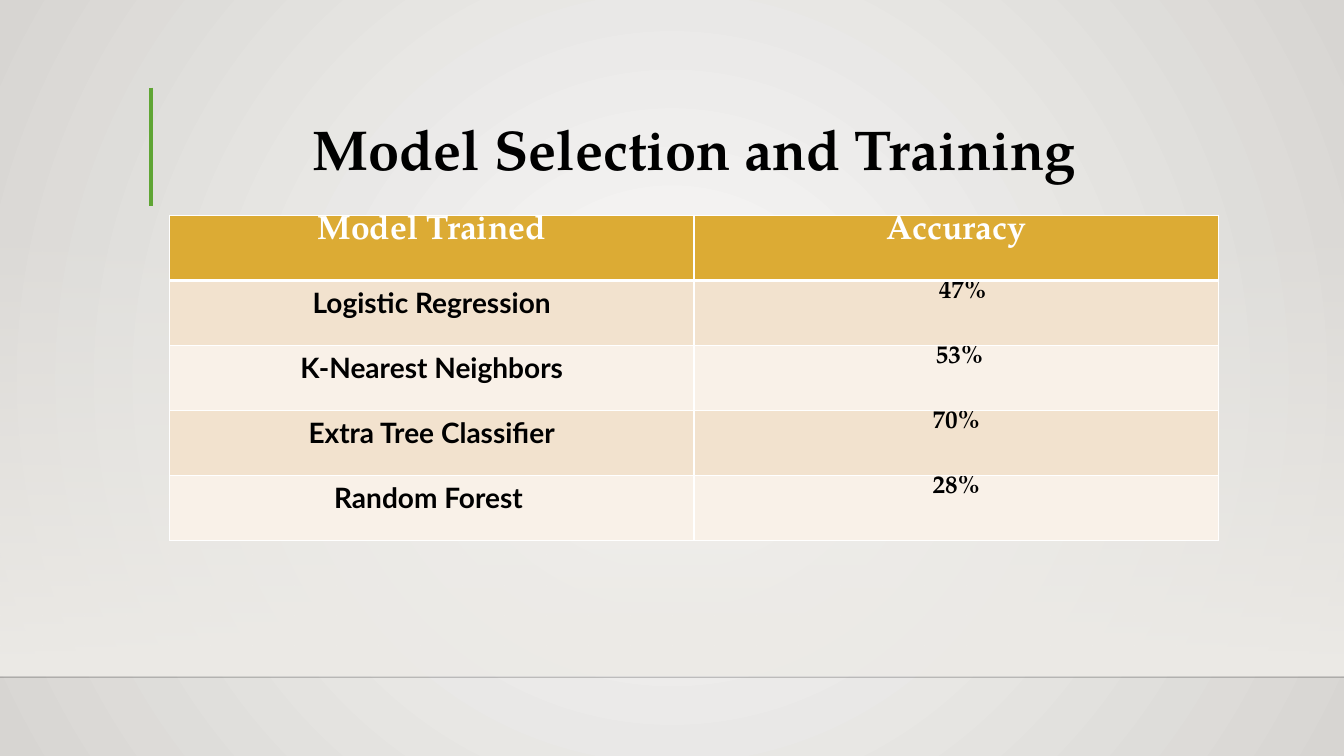
from lxml import etree
from pptx import Presentation
from pptx.dml.color import RGBColor
from pptx.enum.shapes import MSO_CONNECTOR, MSO_SHAPE
from pptx.enum.text import MSO_ANCHOR, PP_ALIGN
from pptx.oxml import parse_xml
from pptx.oxml.ns import nsdecls, qn
from pptx.util import Pt

THEME = {
    "serif": "TeX Gyre Pagella", "sans": "Lato",
    "title": 40, "header": 24, "label": 20, "value": 18,
    "black": "000000", "white": "FFFFFF", "green": "5FA534", "gold": "DCAB34",
    "bands": ("F2E2CE", "F9F1E8"),
    "backdrop": ("FAFAF9", "D7D5D2"), "haze": "EDEBE7", "horizon": "000001",
}
WIDTH, HEIGHT = 960, 540
LEFT, CONTENT_WIDTH = 121, 749.5


def write(text_frame, text, font_name, size, color):
    paragraph = text_frame.paragraphs[0]
    paragraph.alignment = PP_ALIGN.CENTER
    run = paragraph.add_run()
    run.text = text
    run.font.name = THEME[font_name]
    run.font.size = Pt(THEME[size])
    run.font.bold = True
    run.font.color.rgb = RGBColor.from_string(THEME[color])


def set_gradient(fill, colors):
    fill.gradient()
    for stop, color in zip(fill.gradient_stops, colors):
        stop.color.rgb = RGBColor.from_string(color)


presentation = Presentation()
presentation.slide_width, presentation.slide_height = Pt(WIDTH), Pt(HEIGHT)
slide = presentation.slides.add_slide(presentation.slide_layouts[5])

# Background: circular gradient
background = slide.background
set_gradient(background.fill, THEME["backdrop"])
gradient = next(background._cSld.iter(qn("a:gradFill")))
gradient.replace(gradient.find(qn("a:lin")), parse_xml(
    f'<a:path {nsdecls("a")} path="circle">'
    '<a:fillToRect l="50000" t="50000" r="50000" b="50000"/></a:path>'))

# Haze that thickens towards the horizon
haze = slide.shapes.add_shape(MSO_SHAPE.RECTANGLE, 0, Pt(158.4), Pt(WIDTH), Pt(324))
haze.shadow.inherit = False
haze.line.fill.background()
set_gradient(haze.fill, (THEME["haze"], THEME["haze"]))
haze.fill.gradient_angle = 270
clear_color = next(haze._element.iter(qn("a:srgbClr")))
etree.SubElement(clear_color, qn("a:alpha"), val="0")

# Horizon line and title accent
for x1, y1, x2, y2, color, weight, opacity in (
    (0, 483.8, WIDTH, 483.8, "horizon", 1, 20),
    (108, 62.6, 108, 146.9, "green", 3, 100),
):
    line = slide.shapes.add_connector(
        MSO_CONNECTOR.STRAIGHT, Pt(x1), Pt(y1), Pt(x2), Pt(y2))
    line.line.color.rgb = RGBColor.from_string(THEME[color])
    line.line.width = Pt(weight)
    line_color = next(line._element.iter(qn("a:srgbClr")))
    etree.SubElement(line_color, qn("a:alpha"), val=str(opacity * 1000))
    etree.SubElement(line._element.spPr, qn("a:effectLst"))

# Title
title = slide.shapes.title
title.left, title.top = Pt(LEFT), Pt(67)
title.width, title.height = Pt(CONTENT_WIDTH), Pt(62.6)
title.text_frame.vertical_anchor = MSO_ANCHOR.BOTTOM
title.text_frame.margin_bottom = 0
write(title.text_frame, "Model Selection and Training", "serif", "title", "black")

# Accuracy table: text and sideways nudge of each cell
rows = (
    (("Model Trained", 0), ("Accuracy", 0)),
    (("Logistic Regression", 0), ("47%", 9)),
    (("K-Nearest Neighbors", 0), ("53%", 4.5)),
    (("Extra Tree Classifier", 0), ("70%", 0)),
    (("Random Forest", -4.5), ("28%", 0)),
)
ROW_HEIGHT = 46.5
table = slide.shapes.add_table(
    len(rows), 2, Pt(LEFT), Pt(153.8), Pt(CONTENT_WIDTH), Pt(ROW_HEIGHT * len(rows))).table
for row_index, row in enumerate(rows):
    table.rows[row_index].height = Pt(ROW_HEIGHT)
    for column_index, (text, nudge) in enumerate(row):
        cell = table.cell(row_index, column_index)
        is_header, is_label = row_index == 0, column_index == 0
        cell.margin_left = Pt(5.4 + max(nudge, 0))
        cell.margin_right = Pt(5.4 + max(-nudge, 0))
        cell.margin_top = Pt(3.6 if is_label and not is_header else 0)
        cell.margin_bottom = 0
        if is_header:
            fill_color = THEME["gold"]
            write(cell.text_frame, text, "serif", "header", "white")
        else:
            fill_color = THEME["bands"][(row_index - 1) % 2]
            font_name, size = ("sans", "label") if is_label else ("serif", "value")
            write(cell.text_frame, text, font_name, size, "black")

        # White borders, heavier around the header's lower edge
        properties = cell._tc.get_or_add_tcPr()
        for side in ("L", "R", "T", "B"):
            heavy = (side == "B" and is_header) or (side == "T" and row_index == 1)
            border = etree.SubElement(
                properties, qn(f"a:ln{side}"), w=str(Pt(3 if heavy else 1)))
            solid = etree.SubElement(border, qn("a:solidFill"))
            etree.SubElement(solid, qn("a:srgbClr"), val=THEME["white"])
        cell.fill.solid()
        cell.fill.fore_color.rgb = RGBColor.from_string(fill_color)

presentation.save("out.pptx")
